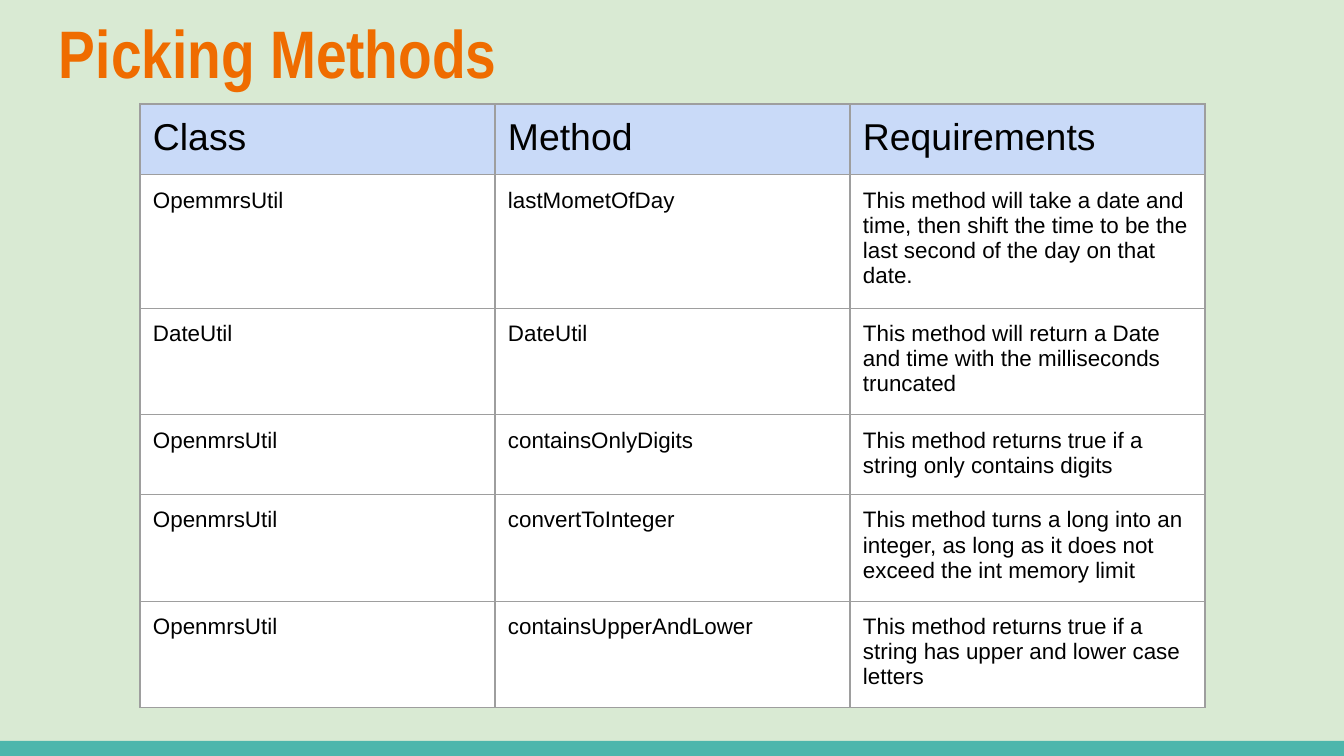
"""Build the Picking Methods slide with its table of classes and methods."""
from typing import NamedTuple

from lxml import etree
from pptx import Presentation
from pptx.dml.color import RGBColor
from pptx.enum.shapes import MSO_SHAPE
from pptx.enum.text import MSO_ANCHOR
from pptx.oxml.ns import qn
from pptx.util import Pt

RECTANGLE = MSO_SHAPE.RECTANGLE
MIDDLE = MSO_ANCHOR.MIDDLE
EMU_PER_PX = 9144000 / 1344
MINT = RGBColor(0xD9, 0xEA, 0xD3)
TEAL = RGBColor(0x4D, 0xB6, 0xAC)
ORANGE = RGBColor(0xEF, 0x6C, 0x00)
LIGHT_BLUE = RGBColor(0xC9, 0xDA, 0xF8)
WHITE = RGBColor(0xFF, 0xFF, 0xFF)
BLACK = RGBColor(0x00, 0x00, 0x00)
GRAY = RGBColor(0x9E, 0x9E, 0x9E)
PAGE_WIDTH, PAGE_HEIGHT = 1344, 756
FOOTER_HEIGHT = 15
COLUMN_WIDTH = 355
INSET = 13


class Row(NamedTuple):
    height: int
    class_name: str
    method: str
    requirement: str


HEADER = Row(68, "Class", "Method", "Requirements")
METHODS = [
    Row(129, "OpemmrsUtil", "lastMometOfDay",
        "This method will take a date and time, then shift the time to be the "
        "last second of the day on that date."),
    Row(102, "DateUtil", "DateUtil",
        "This method will return a Date and time with the milliseconds truncated"),
    Row(77, "OpenmrsUtil", "containsOnlyDigits",
        "This method returns true if a string only contains digits"),
    Row(102, "OpenmrsUtil", "convertToInteger",
        "This method turns a long into an integer, as long as it does not "
        "exceed the int memory limit"),
    Row(102, "OpenmrsUtil", "containsUpperAndLower",
        "This method returns true if a string has upper and lower case letters"),
]


def px(length: int) -> int:
    return round(length * EMU_PER_PX)


def style_font(font, name: str, size: int, color: RGBColor, bold: bool = False) -> None:
    font.name = name
    font.size = Pt(size)
    font.bold = bold
    font.color.rgb = color


def set_insets(target) -> None:
    target.margin_left = target.margin_right = px(INSET)
    target.margin_top = target.margin_bottom = px(INSET)


def add_borders(cell) -> None:
    properties = cell._tc.get_or_add_tcPr()
    for position, side in enumerate(("a:lnL", "a:lnR", "a:lnT", "a:lnB")):
        line = etree.Element(qn(side), w=str(Pt(0.75)))
        fill = etree.SubElement(line, qn("a:solidFill"))
        etree.SubElement(fill, qn("a:srgbClr"), val=str(GRAY))
        properties.insert(position, line)


def fill_cell(cell, text: str, size: int, color: RGBColor) -> None:
    cell.text = text
    set_insets(cell)
    style_font(cell.text_frame.paragraphs[0].font, "Arial", size, BLACK)
    cell.fill.solid()
    cell.fill.fore_color.rgb = color
    add_borders(cell)


def add_footer(page) -> None:
    bar = page.shapes.add_shape(
        RECTANGLE, 0, px(PAGE_HEIGHT - FOOTER_HEIGHT), px(PAGE_WIDTH), px(FOOTER_HEIGHT))
    bar.shadow.inherit = False
    bar.fill.solid()
    bar.fill.fore_color.rgb = TEAL
    bar.line.fill.background()


def add_title(page, text: str) -> None:
    box = page.shapes.add_textbox(px(46), 0, px(1252), px(104))
    frame = box.text_frame
    frame.word_wrap = True
    frame.vertical_anchor = MIDDLE
    set_insets(frame)
    para = frame.paragraphs[0]
    para.text = text
    style_font(para.font, "Arial Narrow", 36, ORANGE, bold=True)


def add_methods_table(page) -> None:
    rows = [HEADER, *METHODS]
    table = page.shapes.add_table(
        len(rows), 3, px(140), px(104), px(3 * COLUMN_WIDTH),
        px(sum(row.height for row in rows))).table
    for column in table.columns:
        column.width = px(COLUMN_WIDTH)
    for index, row in enumerate(rows):
        table.rows[index].height = px(row.height)
        size, color = (20, LIGHT_BLUE) if row is HEADER else (12, WHITE)
        for cell, text in zip(table.rows[index].cells, row[1:]):
            fill_cell(cell, text, size, color)


def main() -> None:
    deck = Presentation()
    deck.slide_width, deck.slide_height = px(PAGE_WIDTH), px(PAGE_HEIGHT)
    page = deck.slides.add_slide(deck.slide_layouts[6])
    page.background.fill.solid()
    page.background.fill.fore_color.rgb = MINT
    add_footer(page)
    add_title(page, "Picking Methods")
    add_methods_table(page)
    deck.save("out.pptx")


if __name__ == "__main__":
    main()
